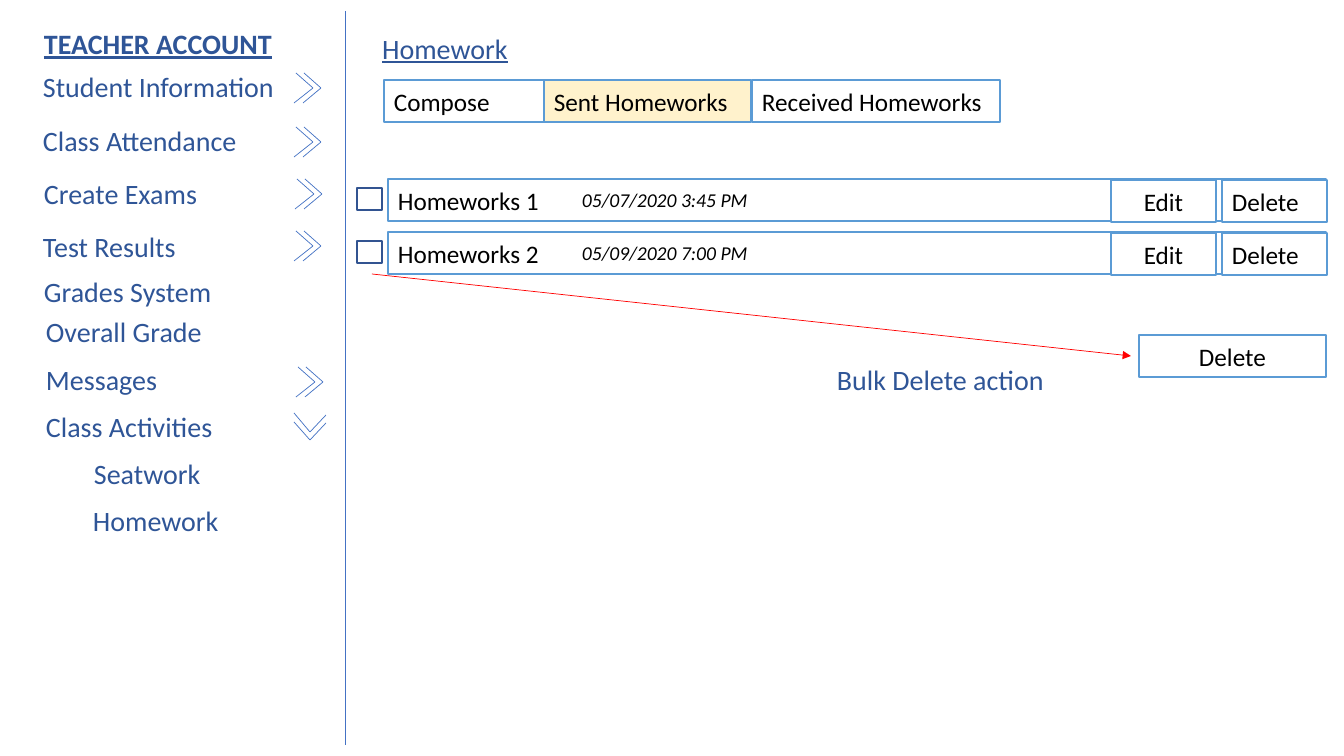
"""Build the teacher account slide with its menu and the sent homework list."""
from lxml import etree
from pptx import Presentation
from pptx.dml.color import RGBColor
from pptx.enum.shapes import MSO_CONNECTOR, MSO_SHAPE
from pptx.enum.text import MSO_ANCHOR, MSO_AUTO_SIZE, PP_ALIGN
from pptx.oxml.ns import qn
from pptx.util import Pt

STRAIGHT = MSO_CONNECTOR.STRAIGHT
RECTANGLE = MSO_SHAPE.RECTANGLE
TOP, MIDDLE = MSO_ANCHOR.TOP, MSO_ANCHOR.MIDDLE
LEFT, CENTER = PP_ALIGN.LEFT, PP_ALIGN.CENTER
FIT_SHAPE = MSO_AUTO_SIZE.SHAPE_TO_FIT_TEXT
PIXEL = 914400 / 100.8
NAVY, BLUE, SKY, CREAM, WHITE = "2F5597", "4472C4", "5B9BD5", "FFF2CC", "FFFFFF"
color = RGBColor.from_string

MENU_FORMAT = {"size": Pt(20), "color": NAVY}
HEADING_FORMAT = {**MENU_FORMAT, "bold": True, "underline": True}
TITLE_FORMAT = {**MENU_FORMAT, "underline": True}
BUTTON_FORMAT = {"size": Pt(18), "color": "000000"}
DATE_FORMAT = {"size": Pt(14), "color": "000000", "italic": True}


def emu(*pixels):
    return [round(value * PIXEL) for value in pixels]


def write(box, text, text_format, anchor=TOP, align=LEFT):
    frame = box.text_frame
    frame.word_wrap = True
    frame.vertical_anchor = anchor
    para = frame.paragraphs[0]
    para.alignment = align
    span = para.add_run()
    span.text = text
    span.font.name = "Calibri"
    for name, value in text_format.items():
        if name == "color":
            span.font.color.rgb = color(value)
        else:
            setattr(span.font, name, value)


deck = Presentation()
deck.slide_width, deck.slide_height = emu(1344, 756)
page = deck.slides.add_slide(deck.slide_layouts[5])

title = page.shapes.title
title.left, title.top, title.width, title.height = emu(372, 26, 399, 44)
write(title, "Homework", TITLE_FORMAT)

buttons = [
    (384, 80, 160, "Compose", WHITE, LEFT),
    (544, 80, 207, "Sent Homeworks", CREAM, LEFT),
    (752, 80, 248, "Received Homeworks", WHITE, LEFT),
]
dates = ["05/07/2020 3:45 PM", "05/09/2020 7:00 PM"]
row_tops = [179 + 53 * index for index in range(len(dates))]
for number, top in enumerate(row_tops, 1):
    buttons += [
        (388, top, 938, f"Homeworks {number}", WHITE, LEFT),
        (1111, top + 1, 105, "Edit", WHITE, CENTER),
        (1222, top + 1, 105, "Delete", WHITE, LEFT),
    ]
buttons.append((1139, 335, 187, "Delete", WHITE, CENTER))

boxes = [(left, top, width, 42, text, fill, SKY, align)
         for left, top, width, text, fill, align in buttons]
boxes += [(357, top + 9, 25, 22, "", WHITE, "325491", LEFT) for top in row_tops]
for left, top, width, height, text, fill, outline, align in boxes:
    box = page.shapes.add_shape(RECTANGLE, *emu(left, top, width, height))
    box.shadow.inherit = False
    box.fill.solid()
    box.fill.fore_color.rgb = color(fill)
    box.line.color.rgb = color(outline)
    box.line.width = Pt(1)
    if text:
        write(box, text, BUTTON_FORMAT, MIDDLE, align)

labels = [
    (34, 22, 270, 44, "TEACHER ACCOUNT", HEADING_FORMAT),
    (827, 358, 238, 44, "Bulk Delete action", MENU_FORMAT),
]
menu = [
    (33, 65, "Student Information"),
    (33, 119, "Class Attendance"),
    (34, 172, "Create Exams"),
    (33, 225, "Test Results"),
    (34, 270, "Grades System"),
    (36, 310, "Overall Grade"),
    (36, 358, "Messages"),
    (36, 405, "Class Activities"),
    (84, 452, "Seatwork"),
    (83, 499, "Homework"),
]
labels += [(left, top, 253, 44, text, MENU_FORMAT) for left, top, text in menu]
labels += [(572, top + 4, 238, 34, date, DATE_FORMAT)
           for top, date in zip(row_tops, dates)]
for left, top, width, height, text, text_format in labels:
    label = page.shapes.add_textbox(*emu(left, top, width, height))
    write(label, text, text_format)
    label.text_frame.auto_size = FIT_SHAPE

right_strokes = [(10, 0, 27, 15), (9, 30, 27, 15), (2, 0, 19, 15), (0, 30, 19, 15)]
down_strokes = [(32, 10, 16, 27), (0, 9, 16, 27), (32, 2, 16, 19), (0, 0, 16, 19)]
chevrons = [
    (294, 73, right_strokes),
    (294, 127, right_strokes),
    (295, 179, right_strokes),
    (294, 231, right_strokes),
    (296, 367, right_strokes),
    (294, 413, down_strokes),
]
divider = (page.shapes, (345, 11, 345, 745), BLUE)
bulk_arrow = (page.shapes, (372, 274, 1131, 356), "FF0000")
lines = [divider]
for left, top, strokes in chevrons:
    chevron = page.shapes.add_group_shape()
    lines += [(chevron.shapes, (left + x1, top + y1, left + x2, top + y2), BLUE)
              for x1, y1, x2, y2 in strokes]
lines.append(bulk_arrow)
for parent, ends, stroke in lines:
    connector = parent.add_connector(STRAIGHT, *emu(*ends))
    connector.line.color.rgb = color(stroke)
    connector.line.width = Pt(0.5)
    properties = connector.element.spPr
    etree.SubElement(properties, qn("a:effectLst"))
    if stroke == "FF0000":
        etree.SubElement(properties.find(qn("a:ln")), qn("a:tailEnd"), type="triangle")

deck.save("out.pptx")
